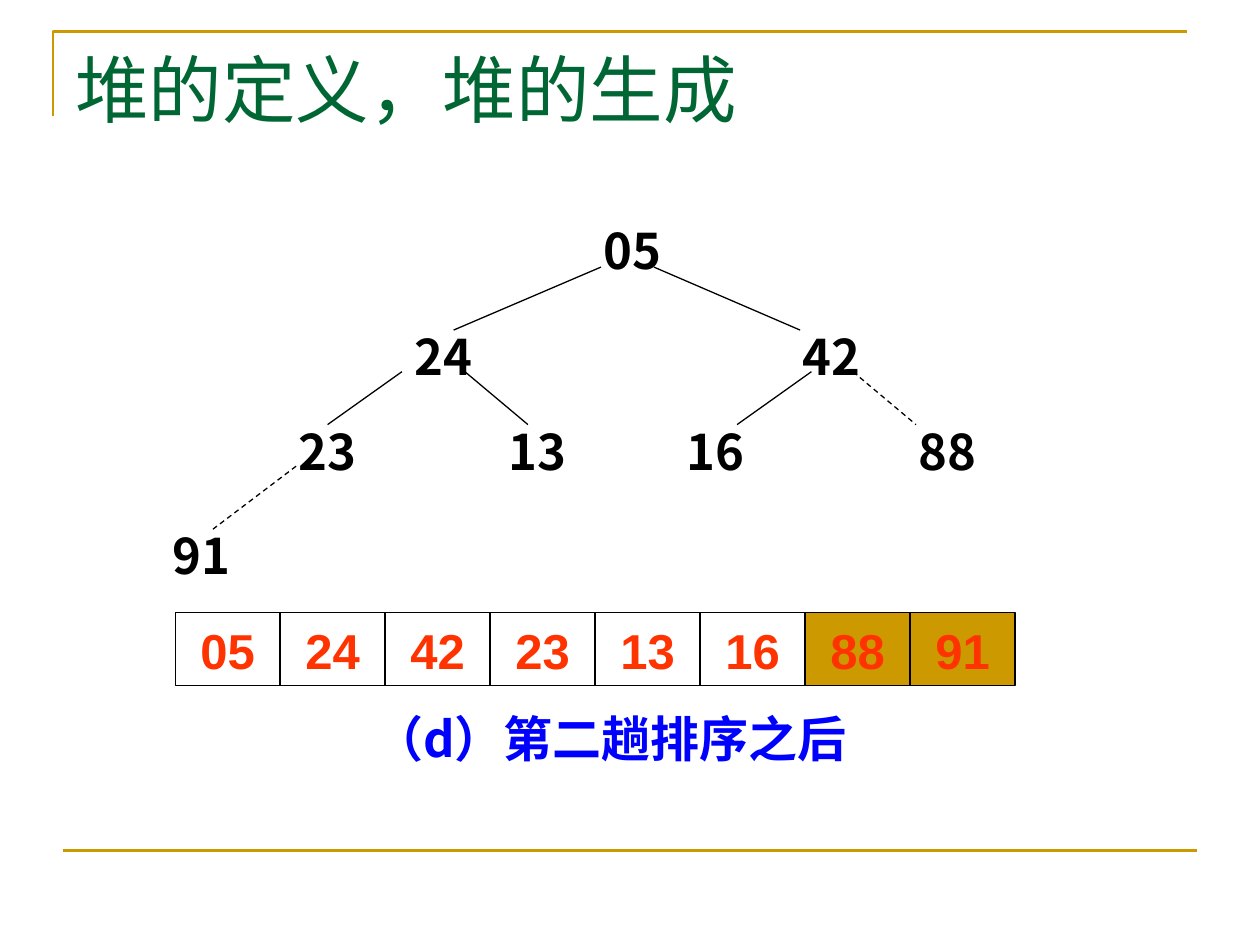
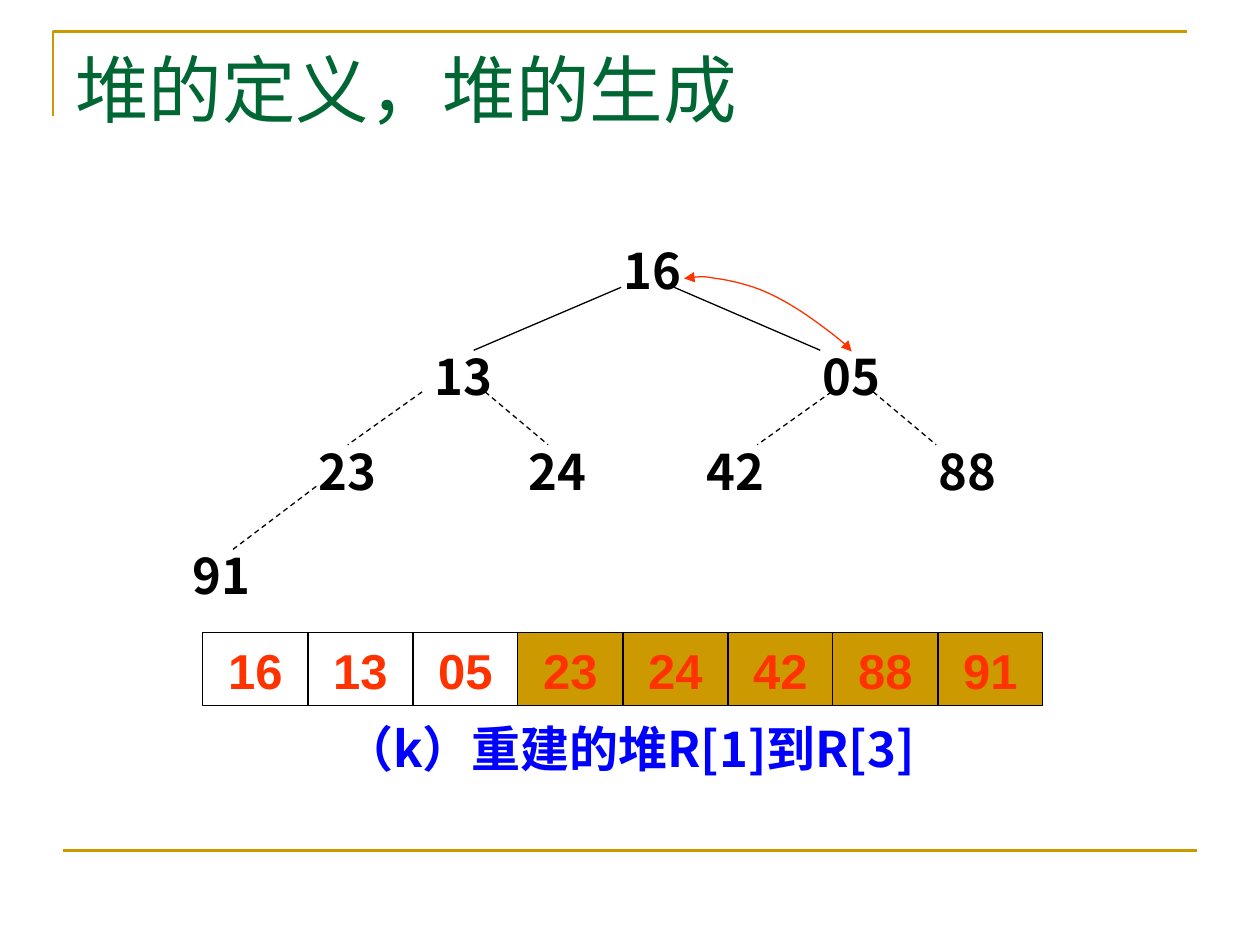
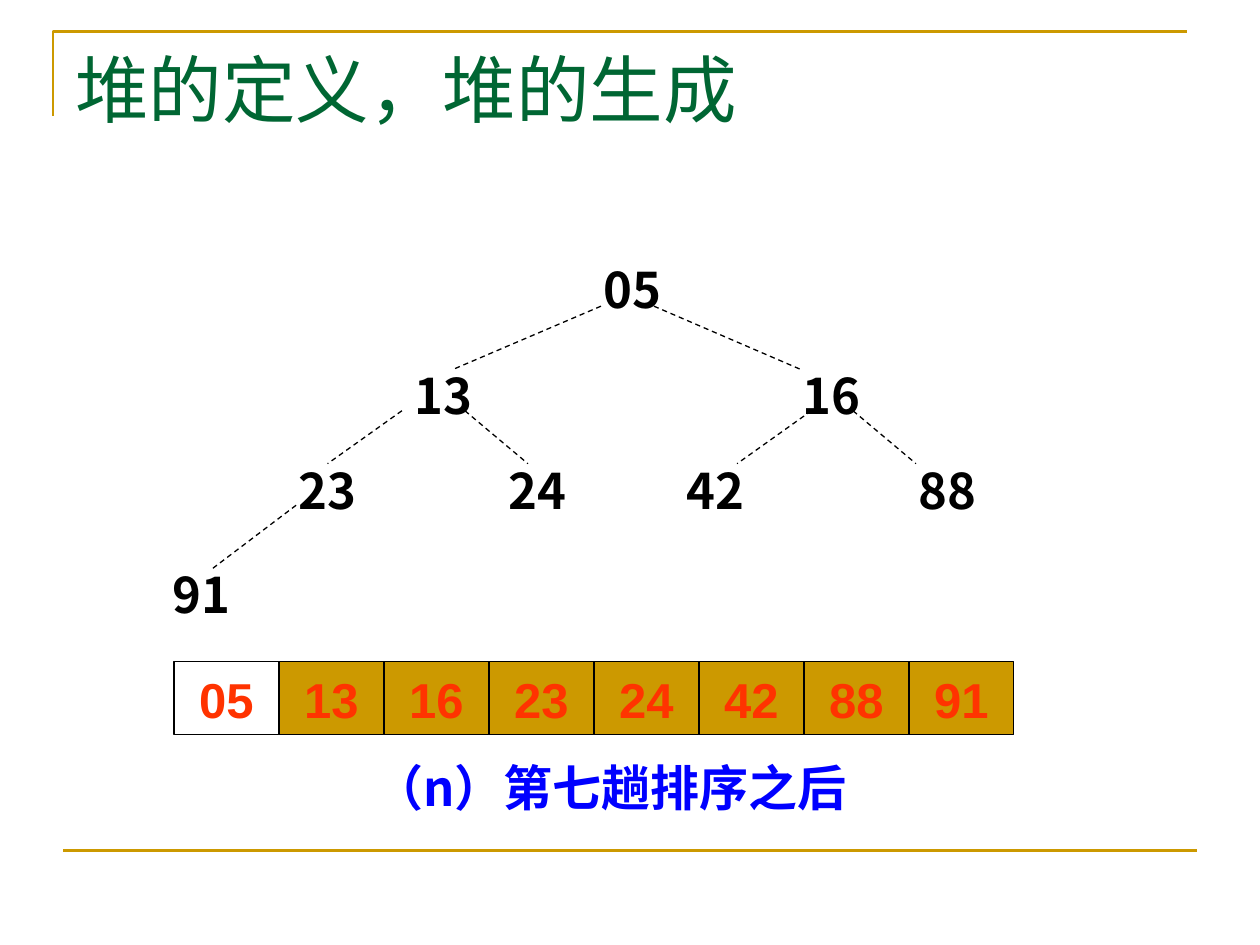
import pptx
import pptx.util
import pptx.dml.color
import pptx.enum.dml
import pptx.enum.shapes
import pptx.enum.text
import pptx.oxml
import pptx.oxml.ns
from pptx.util import Inches

# Shared look
GOLD, GREEN, BLUE, RED, BLACK = "CC9900", "006633", "0000FF", "FF3300", "000000"
CJK_FONT = "Noto Sans CJK SC"
TITLE = "堆的定义，堆的生成"
CELL_WIDTH, CELL_HEIGHT = 5 / 6, 0.58

# Heap nodes in level order: left, top of each label
NODES = [(4.69, 1.7), (3.19, 2.54), (6.27, 2.54), (2.27, 3.29),
         (3.94, 3.29), (5.35, 3.29), (7.19, 3.29), (1.27, 4.12)]
# Edge to each node after the root: x1, y1, x2, y2
EDGES = [(4.77, 2.12, 3.6, 2.62), (5.19, 2.12, 6.35, 2.62),
         (3.19, 2.95, 2.6, 3.37), (3.69, 2.95, 4.19, 3.37),
         (6.44, 2.95, 5.85, 3.37), (6.77, 2.95, 7.27, 3.37),
         (2.35, 3.7, 1.69, 4.2)]
# Start point, then two control points and an end point for each curve
SWAP_CURVE = [(5.43, 2.21), (5.5, 2.2), (5.58, 2.19), (5.68, 2.21),
              (5.77, 2.22), (5.9, 2.25), (6.01, 2.29),
              (6.12, 2.33), (6.23, 2.39), (6.34, 2.46),
              (6.45, 2.53), (6.61, 2.65), (6.68, 2.71),
              (6.74, 2.76), (6.74, 2.76), (6.76, 2.79)]


def color(value):
    return pptx.dml.color.RGBColor.from_string(value)


def set_line(shape, value, width=0.75):
    shape.line.color.rgb = color(value)
    shape.line.width = pptx.util.Pt(width)


def write_text(shape, text, *, size=28, font=CJK_FONT, ink=BLACK, bold=True,
               align="LEFT", anchor="MIDDLE", wrap=True):
    frame = shape.text_frame
    frame.word_wrap = wrap
    frame.vertical_anchor = pptx.enum.text.MSO_ANCHOR[anchor]
    para = frame.paragraphs[0]
    para.alignment = pptx.enum.text.PP_ALIGN[align]
    span = para.add_run()
    span.text = text
    span.font.size = pptx.util.Pt(size)
    span.font.bold = bold
    span.font.name = font
    span.font.color.rgb = color(ink)
    east_asian = pptx.oxml.parse_xml(
        f'<a:ea {pptx.oxml.ns.nsdecls("a")} typeface="{CJK_FONT}"/>')
    span.font._element.find(pptx.oxml.ns.qn("a:latin")).addnext(east_asian)


def add_text(page, text, left, top, width, height, **style):
    box = page.shapes.add_textbox(
        Inches(left), Inches(top), Inches(width), Inches(height))
    write_text(box, text, **style)


def add_line(page, x1, y1, x2, y2, value=BLACK, width=0.75, dashed=False):
    line = page.shapes.add_connector(
        pptx.enum.shapes.MSO_CONNECTOR.STRAIGHT,
        Inches(x1), Inches(y1), Inches(x2), Inches(y2))
    set_line(line, value, width)
    if dashed:
        line.line.dash_style = pptx.enum.dml.MSO_LINE.DASH
    line._element.spPr.append(
        pptx.oxml.parse_xml(f'<a:effectLst {pptx.oxml.ns.nsdecls("a")}/>'))


def add_outline(page, points, value, width=0.75):
    start, *rest = [(Inches(x), Inches(y)) for x, y in points]
    builder = page.shapes.build_freeform(*start)
    builder.add_line_segments(rest, close=False)
    outline = builder.convert_to_shape()
    outline.shadow.inherit = False
    outline.fill.background()
    set_line(outline, value, width)
    return outline


def add_swap_arrow(page):
    arrow = add_outline(page, SWAP_CURVE, RED)
    # Turn each three straight segments into one Bezier segment
    segments = list(arrow._element.iter(pptx.oxml.ns.qn("a:lnTo")))
    for first in range(0, len(segments), 3):
        curve = pptx.oxml.parse_xml(
            f'<a:cubicBezTo {pptx.oxml.ns.nsdecls("a")}/>')
        segments[first].addprevious(curve)
        for segment in segments[first:first + 3]:
            curve.append(segment[0])
            segment.getparent().remove(segment)
    for end in ("headEnd", "tailEnd"):
        arrow.line._get_or_add_ln().append(pptx.oxml.parse_xml(
            f'<a:{end} {pptx.oxml.ns.nsdecls("a")} type="triangle"/>'))


def add_page(deck):
    page = deck.slides.add_slide(deck.slide_layouts[6])
    add_outline(page, [(0.42, 0.92), (0.42, 0.25), (9.42, 0.25)], GOLD, 1.5)
    add_line(page, 0.5, 6.75, 9.5, 6.75, GOLD, 1.5)
    add_text(page, TITLE, 0.5, 0.3, 9, 1.25, size=42, font="Times New Roman",
             ink=GREEN, bold=False, anchor="TOP")
    return page


def add_tree(page, values, heap_size, dx, dy):
    for value, (left, top) in zip(values, NODES):
        add_text(page, value, left + dx, top + dy, 0.67, 0.57, wrap=False)
    # Edges to nodes already sorted out of the heap are dashed
    for position, (x1, y1, x2, y2) in enumerate(EDGES, start=2):
        add_line(page, x1 + dx, y1 + dy, x2 + dx, y2 + dy,
                 dashed=position > heap_size)


def add_array(page, values, heap_size, left, top):
    for index, value in enumerate(values):
        cell = page.shapes.add_shape(
            pptx.enum.shapes.MSO_SHAPE.RECTANGLE,
            Inches(left + index * CELL_WIDTH), Inches(top),
            Inches(CELL_WIDTH), Inches(CELL_HEIGHT))
        cell.shadow.inherit = False
        if index < heap_size:
            cell.fill.background()
        else:
            cell.fill.solid()
            cell.fill.fore_color.rgb = color(GOLD)
        set_line(cell, BLACK)
        write_text(cell, value, font="Arial", ink=RED, align="CENTER",
                   anchor="BOTTOM")


def add_heap_page(deck, numbers, heap_size, shift, array_at, caption, caption_at):
    page = add_page(deck)
    values = numbers.split()
    add_tree(page, values, heap_size, *shift)
    add_array(page, values, heap_size, *array_at)
    add_text(page, caption, *caption_at, 5.75, 0.57, ink=BLUE, align="CENTER")
    return page


def main():
    deck = pptx.Presentation()
    deck.slide_width, deck.slide_height = Inches(10), Inches(7.5)

    # After the second pass
    add_heap_page(deck, "05 24 42 23 13 16 88 91", 6, (0, 0), (1.39, 4.86),
                  "（d）第二趟排序之后", (1.97, 5.57))
    # Rebuilt heap, with the next swap
    rebuilt = add_heap_page(
        deck, "16 13 05 23 24 42 88 91", 3, (0.16, 0.16), (1.61, 5.02),
        "（k）重建的堆R[1]到R[3]", (2.12, 5.65))
    add_swap_arrow(rebuilt)
    # After the seventh pass
    add_heap_page(deck, "05 13 16 23 24 42 88 91", 1, (0, 0.31), (1.38, 5.25),
                  "（n）第七趟排序之后", (1.97, 5.96))

    deck.save("out.pptx")


if __name__ == "__main__":
    main()
